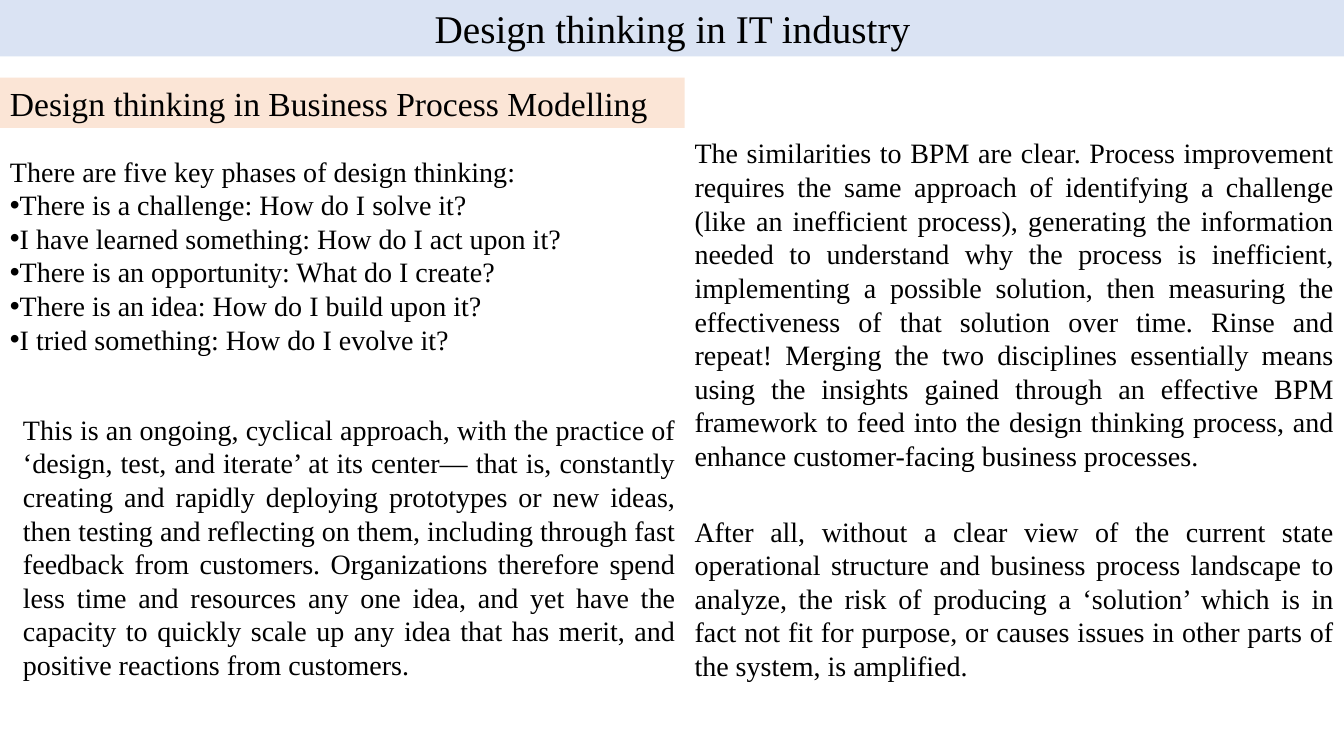
"""Build the slide on design thinking in the IT industry."""
from dataclasses import dataclass
from typing import Optional

from lxml.etree import SubElement
from pptx import Presentation
from pptx.dml.color import RGBColor
from pptx.enum.shapes import MSO_SHAPE
from pptx.enum.text import MSO_ANCHOR, MSO_AUTO_SIZE, PP_ALIGN
from pptx.oxml.ns import qn
from pptx.slide import Slide
from pptx.text.text import TextFrame
from pptx.util import Emu, Pt

EMU_PER_PX = 9144


@dataclass(frozen=True)
class Theme:
    font: str = "Times New Roman"
    ink: str = "000000"
    blue: str = "DAE3F3"
    peach: str = "FBE5D6"
    title: int = 28
    heading: int = 24
    body: int = 20


THEME = Theme()


@dataclass(frozen=True)
class Block:
    left: int
    top: int
    width: int
    height: int
    lines: tuple[str, ...]
    size: int = THEME.body
    align: PP_ALIGN = PP_ALIGN.JUSTIFY
    fill: Optional[str] = None
    bullets: tuple[str, ...] = ()


RIGHT_COLUMN = 679
RIGHT_WIDTH = 654

BLOCKS = (
    Block(0, -1, 1334, 57, ("Design thinking in IT industry",),
          THEME.title, PP_ALIGN.CENTER, THEME.blue),
    Block(0, 77, 679, 50, ("Design thinking in Business Process Modelling",),
          THEME.heading, PP_ALIGN.LEFT, THEME.peach),
    Block(0, 148, 582, 212, ("There are five key phases of design thinking:",), bullets=(
        "There is a challenge: How do I solve it?",
        "I have learned something: How do I act upon it?",
        "There is an opportunity: What do I create?",
        "There is an idea: How do I build upon it?",
        "I tried something: How do I evolve it?",
    )),
    Block(13, 404, 667, 279, (
        "This is an ongoing, cyclical approach, with the practice of ‘design, test, and "
        "iterate’ at its center— that is, constantly creating and rapidly deploying "
        "prototypes or new ideas, then testing and reflecting on them, including through "
        "fast feedback from customers. Organizations therefore spend less time and "
        "resources any one idea, and yet have the capacity to quickly scale up any idea "
        "that has merit, and positive reactions from customers.",
    )),
    Block(RIGHT_COLUMN, 130, RIGHT_WIDTH, 347, (
        "The similarities to BPM are clear. Process improvement requires the same approach "
        "of identifying a challenge (like an inefficient process), generating the "
        "information needed to understand why the process is inefficient, implementing a "
        "possible solution, then measuring the effectiveness of that solution over time. "
        "Rinse and repeat! Merging the two disciplines essentially means using the insights "
        "gained through an effective BPM framework to feed into the design thinking "
        "process, and enhance customer-facing business processes.",
    )),
    Block(RIGHT_COLUMN, 505, RIGHT_WIDTH, 178, (
        "After all, without a clear view of the current state operational structure and "
        "business process landscape to analyze, the risk of producing a ‘solution’ which "
        "is in fact not fit for purpose, or causes issues in other parts of the system, is "
        "amplified.",
    )),
)


def px(length: int) -> Emu:
    """Convert px to EMU."""
    return Emu(length * EMU_PER_PX)


def write_text(frame: TextFrame, block: Block) -> None:
    """Write the plain lines of a block, then its bulleted lines."""
    frame.word_wrap = True
    frame.auto_size = MSO_AUTO_SIZE.SHAPE_TO_FIT_TEXT
    frame.vertical_anchor = MSO_ANCHOR.TOP
    for index, text in enumerate(block.lines + block.bullets):
        para = frame.add_paragraph() if index else frame.paragraphs[0]
        para.alignment = block.align
        if index >= len(block.lines):
            properties = para._p.get_or_add_pPr()
            SubElement(properties, qn("a:buFont"), typeface="Arial")
            SubElement(properties, qn("a:buChar"), char="•")
        span = para.add_run()
        span.text = text
        span.font.name = THEME.font
        span.font.size = Pt(block.size)
        span.font.color.rgb = RGBColor.from_string(THEME.ink)


def draw_block(page: Slide, block: Block) -> None:
    """Draw a block as a filled banner or a plain text box."""
    place = tuple(map(px, (block.left, block.top, block.width, block.height)))
    if block.fill:
        box = page.shapes.add_shape(MSO_SHAPE.RECTANGLE, *place)
        box.shadow.inherit = False
        box.fill.solid()
        box.fill.fore_color.rgb = RGBColor.from_string(block.fill)
        box.line.fill.background()
    else:
        box = page.shapes.add_textbox(*place)
    write_text(box.text_frame, block)


def main() -> None:
    """Create the deck and save it."""
    deck = Presentation()
    deck.slide_width, deck.slide_height = px(1333), px(750)
    page = deck.slides.add_slide(deck.slide_layouts[6])
    for block in BLOCKS:
        draw_block(page, block)
    deck.save("out.pptx")


if __name__ == "__main__":
    main()
